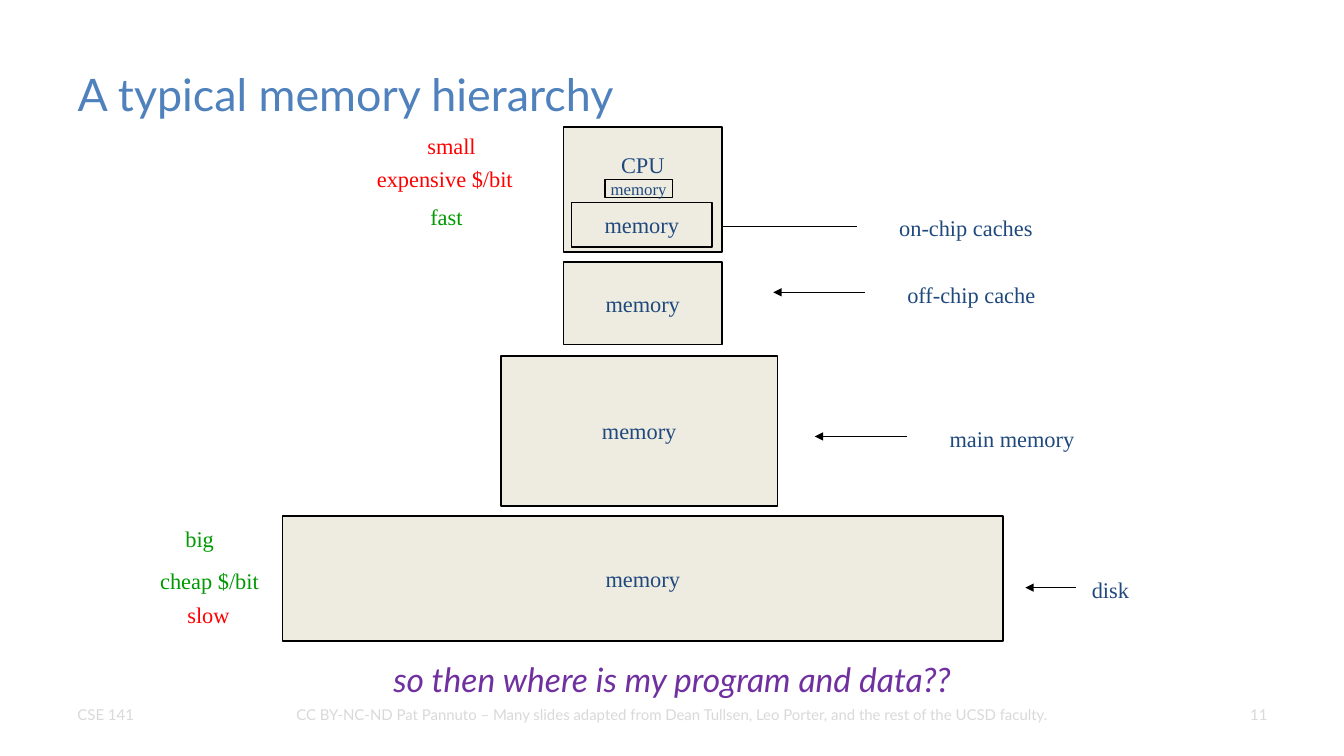
from lxml.etree import SubElement
from pptx import Presentation
from pptx.dml.color import RGBColor
from pptx.enum.shapes import MSO_CONNECTOR, MSO_SHAPE
from pptx.enum.text import MSO_ANCHOR, PP_ALIGN
from pptx.oxml.ns import qn
from pptx.util import Inches, Pt

NAVY, RED, GREEN, BLACK = "1F497D", "FF0000", "009900", "000000"
GREY, BEIGE, BLUE, PURPLE = "D9D9D9", "EEECE1", "4F81BD", "7030A0"
SERIF, SANS = "Times New Roman", "Lato"
LEFT, CENTER, RIGHT = PP_ALIGN.LEFT, PP_ALIGN.CENTER, PP_ALIGN.RIGHT


def color(value):
    return RGBColor.from_string(value)


def write(shape, text, size, name, tint, align=LEFT, anchor=MSO_ANCHOR.MIDDLE, wrap=False):
    frame = shape.text_frame
    frame.text = text
    frame.word_wrap = wrap
    frame.vertical_anchor = anchor
    para = frame.paragraphs[0]
    para.alignment = align
    font = para.runs[0].font
    font.size = Pt(size)
    font.name = name
    font.color.rgb = color(tint)
    return font


deck = Presentation()
deck.slide_width = Inches(13.33)
deck.slide_height = Inches(7.5)
page = deck.slides.add_slide(deck.slide_layouts[5])
shapes = page.shapes

footers = [
    ("CSE 141", 0.67, 2, LEFT),
    ("CC BY-NC-ND Pat Pannuto – Many slides adapted from Dean Tullsen, Leo Porter, "
     "and the rest of the UCSD faculty.", 2.67, 8, CENTER),
    ("11", 10.67, 2, RIGHT),
]
for text, left, width, align in footers:
    box = shapes.add_textbox(Inches(left), Inches(6.95), Inches(width), Inches(0.28))
    write(box, text, 10.7, SANS, GREY, align, wrap=True)

title = shapes.title
title.left, title.top = Inches(0.67), Inches(0.3)
title.width, title.height = Inches(12), Inches(1.25)
write(title, "A typical memory hierarchy", 32, SANS, BLUE, wrap=True)

arrows = [(6.92, 8.5, 2.25), (7.67, 8.58, 2.9), (8.08, 9, 4.33), (10.17, 10.67, 5.83)]
for start, end, y in arrows:
    arrow = shapes.add_connector(
        MSO_CONNECTOR.STRAIGHT, Inches(start), Inches(y), Inches(end), Inches(y))
    arrow.line.color.rgb = color(BLACK)
    arrow.line.width = Pt(1)
    SubElement(arrow.line._get_or_add_ln(), qn("a:headEnd"), type="triangle")
    SubElement(arrow._element.spPr, qn("a:effectLst"))

levels = [
    ("CPU", 5.59, 1.26, 1.57, 1.24, 16, 0.55),
    ("memory", 6, 1.78, 0.67, 0.18, 12, 0.05),
    ("memory", 5.67, 2.01, 1.39, 0.44, 16, 0.05),
    ("memory", 5.59, 2.6, 1.57, 0.82, 16, 0.05),
    ("memory", 4.97, 3.53, 2.74, 1.49, 16, 0.05),
    ("memory", 2.8, 5.12, 7.15, 1.24, 16, 0.05),
]
for text, left, top, width, height, size, bottom in levels:
    level = shapes.add_shape(
        MSO_SHAPE.RECTANGLE, Inches(left), Inches(top), Inches(width), Inches(height))
    level.shadow.inherit = False
    level.fill.solid()
    level.fill.fore_color.rgb = color(BEIGE)
    level.line.color.rgb = color(BLACK)
    level.line.width = Pt(1)
    level.text_frame.margin_bottom = Inches(bottom)
    write(level, text, size, SERIF, NAVY, CENTER)

labels = [
    ("on-chip caches", 8.82, 2.08, 1.54, NAVY),
    ("off-chip cache", 8.9, 2.74, 1.49, NAVY),
    ("main memory", 9.32, 4.17, 1.46, NAVY),
    ("disk", 10.73, 5.67, 0.58, NAVY),
    ("small", 4.14, 1.26, 0.69, RED),
    ("expensive $/bit", 3.64, 1.59, 1.57, RED),
    ("fast", 4.17, 1.97, 0.53, GREEN),
    ("big", 1.74, 5.16, 0.49, GREEN),
    ("cheap $/bit", 1.49, 5.58, 1.19, GREEN),
    ("slow", 1.76, 5.91, 0.62, RED),
]
for text, left, top, width, tint in labels:
    label = shapes.add_textbox(Inches(left), Inches(top), Inches(width), Inches(0.37))
    write(label, text, 16, SERIF, tint, anchor=MSO_ANCHOR.TOP)

question = shapes.add_textbox(Inches(3.78), Inches(6.49), Inches(5.77), Inches(0.5))
font = write(question, "so then where is my program and data??", 24, SANS, PURPLE,
             CENTER, MSO_ANCHOR.TOP)
font.italic = True

deck.save("out.pptx")
